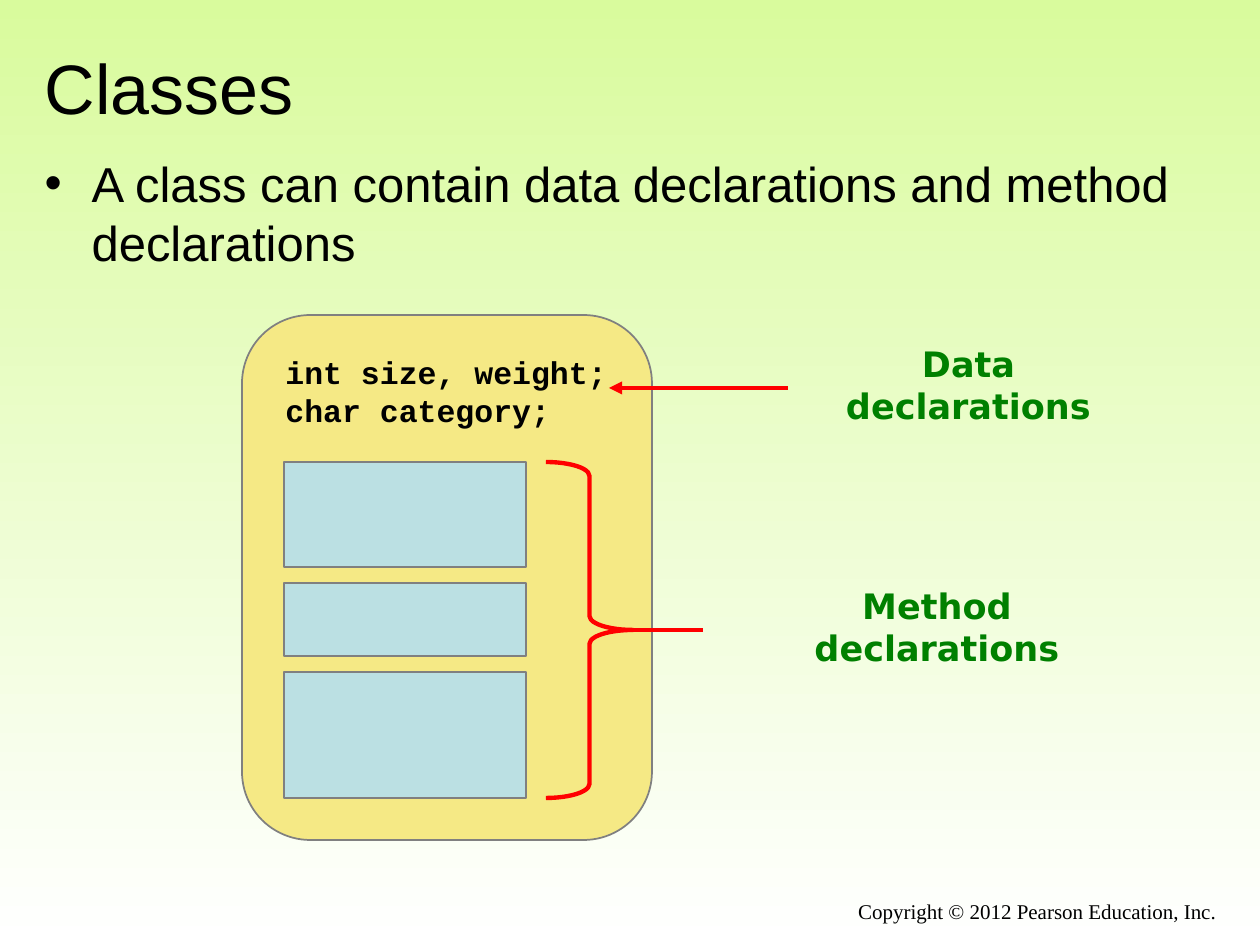
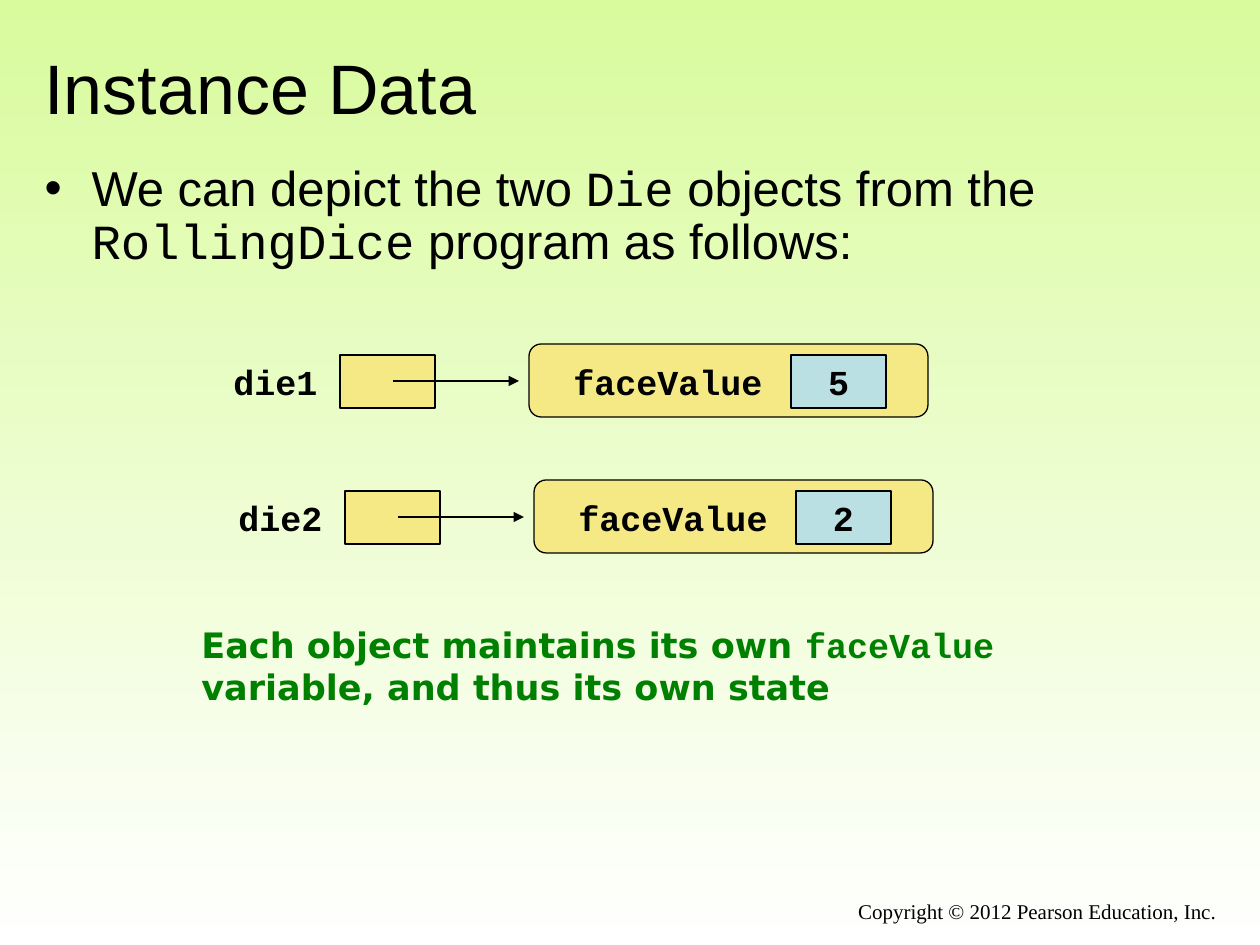
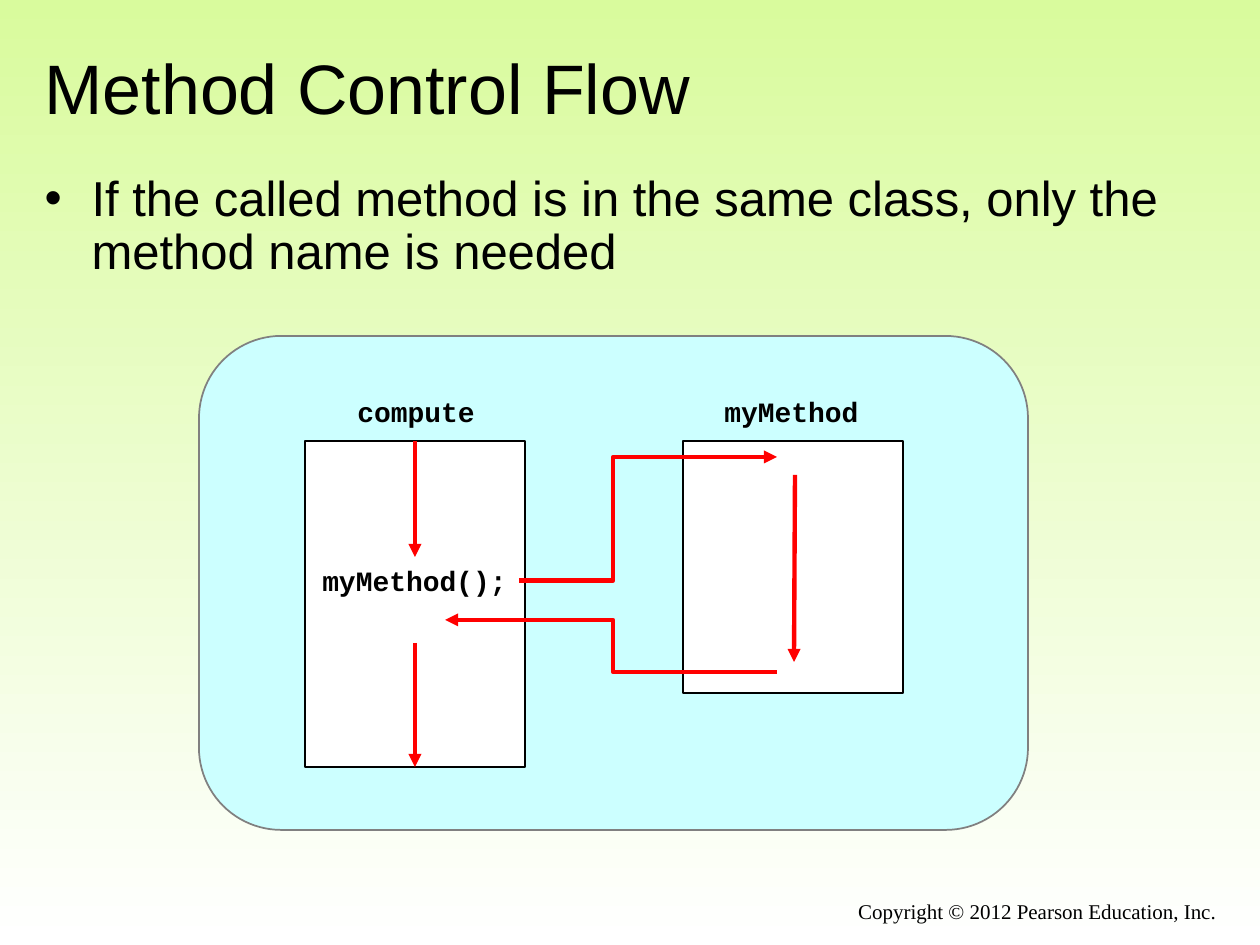
from lxml import etree
from pptx import Presentation
from pptx import util as u
from pptx.dml.color import RGBColor
from pptx.enum import shapes, text
from pptx.oxml.ns import qn

PX = 914400 / 126
COLORS = {
    "meadow": "D9FB9D", "white": "FFFFFF", "black": "000000", "gray": "808080",
    "sand": "F5E985", "ice": "BBE0E3", "cyan": "CCFFFF", "red": "FF0000",
    "green": "008000",
}
SANS, CODE, NOTE, SERIF = "Arial", "Courier New", "DejaVu Sans", "Times New Roman"
KIND = shapes.MSO_SHAPE
LEFT, CENTER, RIGHT = text.PP_ALIGN.LEFT, text.PP_ALIGN.CENTER, text.PP_ALIGN.RIGHT
TOP, MIDDLE = text.MSO_ANCHOR.TOP, text.MSO_ANCHOR.MIDDLE


def px(*lengths):
    return [u.Emu(round(length * PX)) for length in lengths]


def rgb(name):
    return RGBColor.from_string(COLORS[name])


def write(frame, lines, size, color="black", bold=False, align=LEFT, anchor=TOP, wrap=False):
    """Fill a frame with lines, each a list of (text, font) spans."""
    frame.word_wrap = wrap
    frame.auto_size = text.MSO_AUTO_SIZE.NONE
    frame.vertical_anchor = anchor
    for number, spans in enumerate(lines):
        para = frame.add_paragraph() if number else frame.paragraphs[0]
        para.alignment = align
        para.space_before = u.Pt(0)
        for words, font in spans:
            span = para.add_run()
            span.text = words
            span.font.name = font
            span.font.size = u.Pt(size)
            span.font.bold = bold
            span.font.color.rgb = rgb(color)


def add_text(page, place, lines, size, **style):
    box = page.shapes.add_textbox(*px(*place))
    write(box.text_frame, lines, size, **style)
    return box


def add_code(page, place, words, size, **style):
    return add_text(page, place, [[(words, CODE)]], size, bold=True, **style)


def add_box(page, kind, place, fill=None, line=None, width=1):
    box = page.shapes.add_shape(kind, *px(*place))
    box.shadow.inherit = False
    if fill:
        box.fill.solid()
        box.fill.fore_color.rgb = rgb(fill)
    else:
        box.fill.background()
    if line:
        box.line.color.rgb = rgb(line)
        box.line.width = u.Pt(width)
    else:
        box.line.fill.background()
    return box


def add_line(page, start, end, color="red", width=2.5, arrow=True, bend=None):
    """Draw a straight line, or an elbow whose middle lies at the share bend."""
    kind = shapes.MSO_CONNECTOR.ELBOW if bend else shapes.MSO_CONNECTOR.STRAIGHT
    line = page.shapes.add_connector(kind, *px(*start, *end))
    line.line.color.rgb = rgb(color)
    line.line.width = u.Pt(width)
    props = line._element.spPr
    if arrow:
        etree.SubElement(props.find(qn("a:ln")), qn("a:tailEnd"), type="triangle")
    if bend:
        guides = props.find(qn("a:prstGeom")).find(qn("a:avLst"))
        etree.SubElement(guides, qn("a:gd"), name="adj1", fmla=f"val {round(bend * 100000)}")
    etree.SubElement(props, qn("a:effectLst"))
    return line


def place_shape(shape, place):
    shape.left, shape.top, shape.width, shape.height = px(*place)


def add_bullet(para):
    props = para._p.get_or_add_pPr()
    props.set("marL", str(px(47)[0]))
    props.set("indent", str(px(-47)[0]))
    color = etree.SubElement(props, qn("a:buClr"))
    etree.SubElement(color, qn("a:srgbClr"), val=COLORS["black"])
    etree.SubElement(props, qn("a:buFont"), typeface=SANS)
    etree.SubElement(props, qn("a:buChar"), char="•")


def add_page(deck, title, spans, body_place, spacing=None):
    page = deck.slides.add_slide(deck.slide_layouts[1])
    heading, body = page.placeholders
    place_shape(heading, (32, 38, 1186, 98))
    write(heading.text_frame, [[(title, SANS)]], 40, anchor=MIDDLE, wrap=True)
    place_shape(body, body_place)
    write(body.text_frame, [spans], 28, wrap=True)
    para = body.text_frame.paragraphs[0]
    add_bullet(para)
    if spacing:
        para.line_spacing = spacing
    add_text(page, (463, 892, 766, 43),
             [[("Copyright © 2012 Pearson Education, Inc.", SERIF)]],
             12, align=RIGHT, wrap=True)
    return page


def set_background(deck):
    fill = deck.slide_master.background.fill
    fill.gradient()
    fill.gradient_angle = 270
    for stop, color in zip(fill.gradient_stops, ("meadow", "white")):
        stop.color.rgb = rgb(color)


def add_classes(deck):
    page = add_page(
        deck, "Classes",
        [("A class can contain data declarations and method declarations", SANS)],
        (32, 147, 1187, 577))
    add_box(page, KIND.FLOWCHART_ALTERNATE_PROCESS, (242, 315, 410, 525), "sand", "gray")
    top = 462
    for height in (105, 73, 126):
        add_box(page, KIND.RECTANGLE, (284, top, 242, height), "ice", "gray")
        top += height + 16
    fields = add_box(page, KIND.RECTANGLE, (273, 347, 347, 88), "sand")
    write(fields.text_frame, [[("int size, weight;", CODE)], [("char category;", CODE)]],
          18, bold=True, anchor=MIDDLE)
    for words, place in (("Data declarations", (801, 357, 335, 55)),
                         ("Method declarations", (743, 599, 388, 55))):
        add_text(page, place, [[(words, NOTE)]], 20, color="green", bold=True,
                 align=CENTER, anchor=MIDDLE, wrap=True)
    add_line(page, (788, 388), (609, 388))
    brace = add_box(page, KIND.RIGHT_BRACE, (546, 462, 87, 336), line="red", width=2.5)
    brace.adjustments[0] = 0.16
    add_line(page, (703, 630), (632, 630), arrow=False)


def add_die(page, left, top, name, value):
    """Draw a variable that points to its object, from the variable's corner."""
    add_box(page, KIND.RECTANGLE, (left, top, 95, 53), "sand", "black", 0.75)
    add_code(page, (left - 119, top - 1, 110, 55), name, 20)
    add_box(page, KIND.ROUNDED_RECTANGLE, (left + 189, top - 11, 399, 73),
            "sand", "black", 0.75)
    add_line(page, (left + 53, top + 26), (left + 179, top + 26), "black", 0.75)
    cell = add_box(page, KIND.RECTANGLE, (left + 451, top, 95, 53), "ice", "black", 0.75)
    write(cell.text_frame, [[(value, CODE)]], 20, bold=True, align=CENTER, anchor=MIDDLE)
    add_code(page, (left + 221, top - 1, 214, 55), "faceValue", 20)


def add_instance_data(deck):
    page = add_page(
        deck, "Instance Data",
        [("We can depict the two ", SANS), ("Die", CODE), (" objects from the ", SANS),
         ("RollingDice", CODE), (" program as follows:", SANS)],
        (32, 158, 1176, 168), 0.9)
    add_die(page, 340, 355, "die1", "5")
    add_die(page, 345, 491, "die2", "2")
    add_text(page, (189, 617, 903, 97),
             [[("Each object maintains its own ", NOTE), ("faceValue", CODE),
               (" variable, and thus its own state", NOTE)]],
             20, color="green", bold=True, wrap=True)


def add_control_flow(deck):
    page = add_page(
        deck, "Method Control Flow",
        [("If the called method is in the same class, only the method name is needed", SANS)],
        (32, 168, 1176, 126), 0.9)
    add_box(page, KIND.FLOWCHART_ALTERNATE_PROCESS, (199, 336, 829, 494), "cyan", "gray")
    caller = add_box(page, KIND.RECTANGLE, (305, 441, 220, 326), "white", "black")
    add_box(page, KIND.RECTANGLE, (683, 441, 220, 252), "white", "black")
    centered = {"align": CENTER, "anchor": MIDDLE}
    call = add_code(page, (310, 557, 209, 47), "myMethod();", 16, **centered)
    add_code(page, (712, 388, 159, 47), "myMethod", 16, **centered)
    add_code(page, (345, 388, 142, 47), "compute", 16, **centered)

    add_line(page, (415, 441), (415, 557)).begin_connect(caller, 0)
    add_line(page, (415, 643), (415, 767)).end_connect(caller, 2)
    add_line(page, (519, 580), (777, 457), bend=0.365).begin_connect(call, 3)
    add_line(page, (795, 475), (794, 662))
    add_line(page, (777, 672), (445, 620), bend=0.494)


def main():
    deck = Presentation()
    deck.slide_width, deck.slide_height = px(1260, 945)
    set_background(deck)
    add_classes(deck)
    add_instance_data(deck)
    add_control_flow(deck)
    deck.save("out.pptx")


if __name__ == "__main__":
    main()
